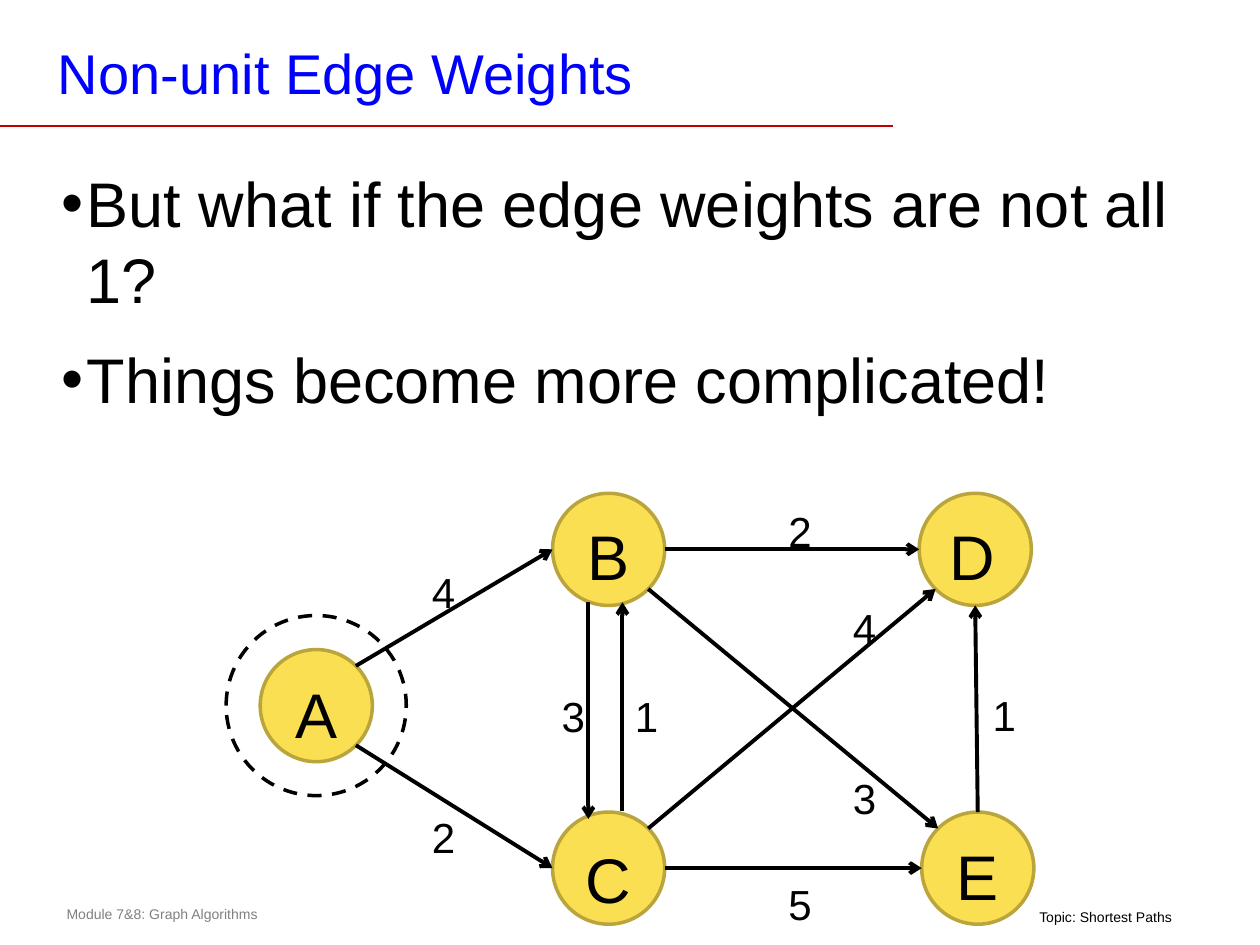
import math
from dataclasses import dataclass

import lxml.etree
import pptx
import pptx.dml.color
import pptx.enum.dml
import pptx.enum.shapes
import pptx.enum.text
import pptx.oxml.ns
import pptx.util

Inches = pptx.util.Inches
Pt = pptx.util.Pt
qn = pptx.oxml.ns.qn


@dataclass(frozen=True)
class Theme:
    font: str = "Arial"
    title: str = "0000FF"
    ink: str = "000000"
    muted: str = "808080"
    rule: str = "C00000"
    node: str = "FBDF53"
    outline: str = "BAA53D"
    title_size: int = 32
    body_size: int = 36
    weight_size: int = 24
    footer_size: int = 8


THEME = Theme()
CENTER = pptx.enum.text.PP_ALIGN.CENTER
NODE_SIZE = 0.89
LETTER_SIZE = 0.58
WEIGHT_SIZE = (0.27, 0.41)

NODES = {
    "A": ((2.51, 5.6), (0, 0)),
    "B": ((4.83, 4.36), (0, -0.01)),
    "C": ((4.83, 6.89), (0, 0.02)),
    "D": ((7.74, 4.36), (-0.02, -0.01)),
    "E": ((7.76, 6.89), (0, 0)),
}
ANGLES = {"e": 0, "se": 45, "s": 90, "sw": 135, "w": 180, "nw": 225, "n": 270, "ne": 315}
EDGES = [
    ("A", "ne", "B", "w", "4", (3.33, 4.45)),
    ("A", "se", "C", "w", "2", (3.33, 6.39)),
    ("B", "e", "D", "w", "2", (6.16, 3.96)),
    ("B", "se", "E", "nw", "3", (6.67, 6.08)),
    ("E", "n", "D", "s", "1", (7.78, 5.42)),
    ("C", "e", "E", "w", "5", (6.16, 6.92)),
    ("C", "ne", "D", "sw", "4", (6.67, 4.73)),
]
PARALLEL_EDGES = [
    ((4.67, 4.78), (4.67, 6.5), "3", (4.36, 5.43)),
    ((4.94, 6.44), (4.94, 4.78), "1", (4.94, 5.43)),
]


def color(value):
    return pptx.dml.color.RGBColor.from_string(value)


def write_text(para, text, *, size, ink=THEME.ink, align=None, after=0):
    para.alignment = align
    para.space_after = Pt(after)
    span = para.add_run()
    span.text = text
    span.font.name = THEME.font
    span.font.size = Pt(size)
    span.font.color.rgb = color(ink)


def rim_point(name, side):
    (x, y), _ = NODES[name]
    angle = math.radians(ANGLES[side])
    radius = NODE_SIZE / 2
    return x + radius * math.cos(angle), y + radius * math.sin(angle)


class SlideBuilder:
    def __init__(self, page, theme):
        self.page = page
        self.theme = theme

    def text(self, place, *lines, insets=(0.1, 0.05, 0.1, 0.05), wrap=True, bullet=False, **style):
        box = self.page.shapes.add_textbox(*map(Inches, place))
        frame = box.text_frame
        frame.word_wrap = wrap
        frame.margin_left, frame.margin_top, frame.margin_right, frame.margin_bottom = map(Inches, insets)
        for index, line in enumerate(lines):
            para = frame.paragraphs[0] if index == 0 else frame.add_paragraph()
            write_text(para, line, **style)
            if bullet:
                self.bullet(para)

    def bullet(self, para):
        properties = para._p.get_or_add_pPr()
        properties.set("marL", str(Inches(0.2)))
        properties.set("indent", str(-Inches(0.2)))
        lxml.etree.SubElement(properties, qn("a:buFont")).set("typeface", self.theme.font)
        lxml.etree.SubElement(properties, qn("a:buChar")).set("char", "•")

    def circle(self, center, size, *, outline, fill=None, dashed=False):
        left, top = (value - size / 2 for value in center)
        shape = self.page.shapes.add_shape(
            pptx.enum.shapes.MSO_SHAPE.OVAL, *map(Inches, (left, top, size, size)))
        shape.shadow.inherit = False
        if fill:
            shape.fill.solid()
            shape.fill.fore_color.rgb = color(fill)
        else:
            shape.fill.background()
        shape.line.color.rgb = color(outline)
        shape.line.width = Pt(2)
        if dashed:
            shape.line.dash_style = pptx.enum.dml.MSO_LINE.DASH

    def line(self, start, end, *, ink, width, arrow=False):
        connector = self.page.shapes.add_connector(
            pptx.enum.shapes.MSO_CONNECTOR.STRAIGHT, *map(Inches, (*start, *end)))
        connector.line.color.rgb = color(ink)
        connector.line.width = Pt(width)
        if arrow:
            tail = lxml.etree.SubElement(connector.line._get_or_add_ln(), qn("a:tailEnd"))
            tail.set("type", "arrow")
        lxml.etree.SubElement(connector._element.spPr, qn("a:effectLst"))

    def node(self, letter, center, shift):
        self.circle(center, NODE_SIZE, outline=self.theme.outline, fill=self.theme.node)
        left, top = (c + s - LETTER_SIZE / 2 for c, s in zip(center, shift))
        self.text((left, top, LETTER_SIZE, LETTER_SIZE), letter, size=self.theme.body_size, align=CENTER)

    def edge(self, start, end, weight, corner):
        self.line(start, end, ink=self.theme.ink, width=2.25, arrow=True)
        self.text((*corner, *WEIGHT_SIZE), weight, size=self.theme.weight_size)


def main():
    deck = pptx.Presentation()
    deck.slide_width, deck.slide_height = Inches(10), Inches(7.5)
    builder = SlideBuilder(deck.slides.add_slide(deck.slide_layouts[6]), THEME)

    builder.text((0.43, 7.14, 3.64, 0.24), "Module 7&8: Graph Algorithms",
                 size=THEME.footer_size, ink=THEME.muted)
    builder.line((0, 1), (7.09, 1), ink=THEME.rule, width=1)
    builder.text((0.39, 0.28, 7.42, 0.6), "Non-unit Edge Weights",
                 insets=(0.07, 0.03, 0.07, 0.03), size=THEME.title_size, ink=THEME.title)
    builder.text((0.39, 1.26, 9.31, 5.48),
                 "But what if the edge weights are not all 1?",
                 "Things become more complicated!",
                 bullet=True, size=THEME.body_size, after=14)

    for letter, (center, shift) in NODES.items():
        builder.node(letter, center, shift)
    for source, leave, target, arrive, weight, corner in EDGES:
        builder.edge(rim_point(source, leave), rim_point(target, arrive), weight, corner)
    for start, end, weight, corner in PARALLEL_EDGES:
        builder.edge(start, end, weight, corner)
    start_center, _ = NODES["A"]
    builder.circle(start_center, 1.43, outline=THEME.ink, dashed=True)

    builder.text((8.15, 7.21, 1.27, 0.17), "Topic: Shortest Paths",
                 insets=(0.1, 0, 0.1, 0.04), wrap=False, size=THEME.footer_size)
    deck.save("out.pptx")


if __name__ == "__main__":
    main()
